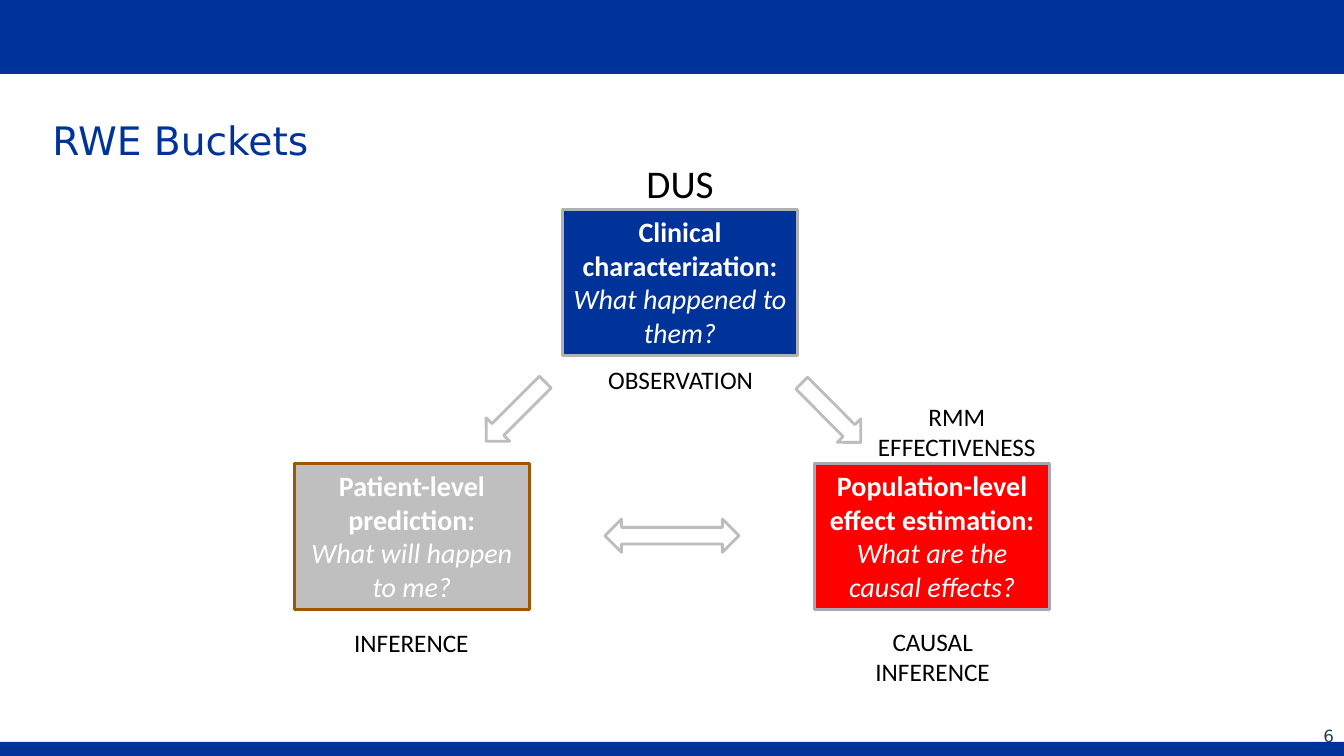
from dataclasses import dataclass

from lxml.etree import SubElement
from pptx import Presentation
from pptx.dml.color import RGBColor as Rgb
from pptx.enum.shapes import MSO_CONNECTOR as Link, MSO_SHAPE as Kind
from pptx.enum.text import MSO_ANCHOR as Anchor, PP_ALIGN as Align
from pptx.oxml.ns import qn
from pptx.util import Emu, Pt

PX = 9144  # 100 px to the inch


@dataclass(frozen=True)
class Theme:
    blue: str = "003399"
    red: str = "FF0000"
    grey: str = "BFBFBF"
    white: str = "FFFFFF"
    black: str = "000000"
    number: str = "20425A"
    arrow: str = "BDBDBD"
    edge: float = 2
    hair: float = 0.25
    big: int = 28
    body: int = 20
    label: int = 18
    small: int = 12
    head: str = "DejaVu Sans"
    font: str = "Calibri"


T = Theme()


def px(*nums):
    return [Emu(n * PX) for n in nums]


def add_run(para, text, size, color, font=T.font, bold=False, italic=False):
    run = para.add_run()
    run.text = text
    face = run.font
    face.size, face.name = Pt(size), font
    face.bold, face.italic = bold, italic
    face.color.rgb = Rgb.from_string(color)


def add_form(slide, kind, at, fill, line=None, turn=0):
    form = slide.shapes.add_shape(kind, *px(*at))
    form.shadow.inherit = False
    form.rotation = turn
    form.fill.solid()
    form.fill.fore_color.rgb = Rgb.from_string(fill)
    if line:
        form.line.color.rgb = Rgb.from_string(line)
        form.line.width = Pt(T.edge)
    else:
        form.line.fill.background()
    return form


def add_rule(slide, y, width):
    rule = slide.shapes.add_connector(Link.STRAIGHT, *px(0, y, width, y))
    rule.line.color.rgb = Rgb.from_string(T.white)
    rule.line.width = Pt(T.hair)
    SubElement(rule._element.spPr, qn("a:effectLst"))


def add_text(slide, at, lines, size=T.label, color=T.black, font=T.font,
             align=Align.CENTER):
    frame = slide.shapes.add_textbox(*px(*at)).text_frame
    frame.word_wrap = True
    for i, line in enumerate(lines):
        para = frame.add_paragraph() if i else frame.paragraphs[0]
        para.alignment = align
        add_run(para, line, size, color, font)
    return frame


def add_bucket(slide, x, y, name, ask, fill, line):
    """Draw a box with a bold name over an italic question."""
    box = add_form(slide, Kind.RECTANGLE, (x, y, 233, 145), fill, line)
    frame = box.text_frame
    frame.word_wrap = True
    frame.vertical_anchor = Anchor.TOP
    top, low = frame.paragraphs[0], frame.add_paragraph()
    top.alignment = low.alignment = Align.CENTER
    add_run(top, name, T.body, T.white, bold=True)
    add_run(low, ask, T.body, T.white, italic=True)


def add_frame(slide):
    """Draw the bands, the title and the page number."""
    add_form(slide, Kind.RECTANGLE, (0, 0, 1333, 74), T.blue)
    add_rule(slide, 74, 1333)
    add_form(slide, Kind.RECTANGLE, (0, 736, 1333, 14), T.blue)
    title = add_text(slide, (52, 112, 1228, 104), ["RWE Buckets"],
                     T.big, T.blue, T.head, Align.LEFT)
    title.margin_left = title.margin_right = 0
    title.margin_top = title.margin_bottom = 0
    title.paragraphs[0].line_spacing = Pt(36)
    page = add_text(slide, (1022, 710, 311, 40), ["6"],
                    T.small, T.number, T.head, Align.RIGHT)
    page.vertical_anchor = Anchor.MIDDLE


def main():
    deck = Presentation()
    deck.slide_width, deck.slide_height = px(1333, 750)
    slide = deck.slides.add_slide(deck.slide_layouts[6])
    add_frame(slide)

    for bucket in (
        (558, 208, "Clinical characterization:", "What happened to them?",
         T.blue, "B0B1B7"),
        (292, 460, "Patient-level prediction:", "What will happen to me?",
         T.grey, "9C5700"),
        (808, 460, "Population-level effect estimation:",
         "What are the causal effects?", T.red, "A6A8B3"),
    ):
        add_bucket(slide, *bucket)

    for kind, at, turn in (
        (Kind.DOWN_ARROW, (495, 367, 33, 83), 44.9),
        (Kind.DOWN_ARROW, (808, 368, 33, 83), 315.1),
        (Kind.LEFT_RIGHT_ARROW, (600, 515, 133, 33), 0),
    ):
        add_form(slide, kind, at, T.white, T.arrow, turn)

    for at, lines in (
        ((312, 617, 192, 40), ["INFERENCE"]),
        ((829, 616, 192, 71), ["CAUSAL INFERENCE"]),
        ((579, 357, 192, 40), ["OBSERVATION"]),
        ((808, 393, 282, 71), ["RMM", "EFFECTIVENESS"]),
    ):
        add_text(slide, at, lines)
    add_text(slide, (547, 153, 255, 57), ["DUS"], T.big)

    deck.save("out.pptx")


if __name__ == "__main__":
    main()
